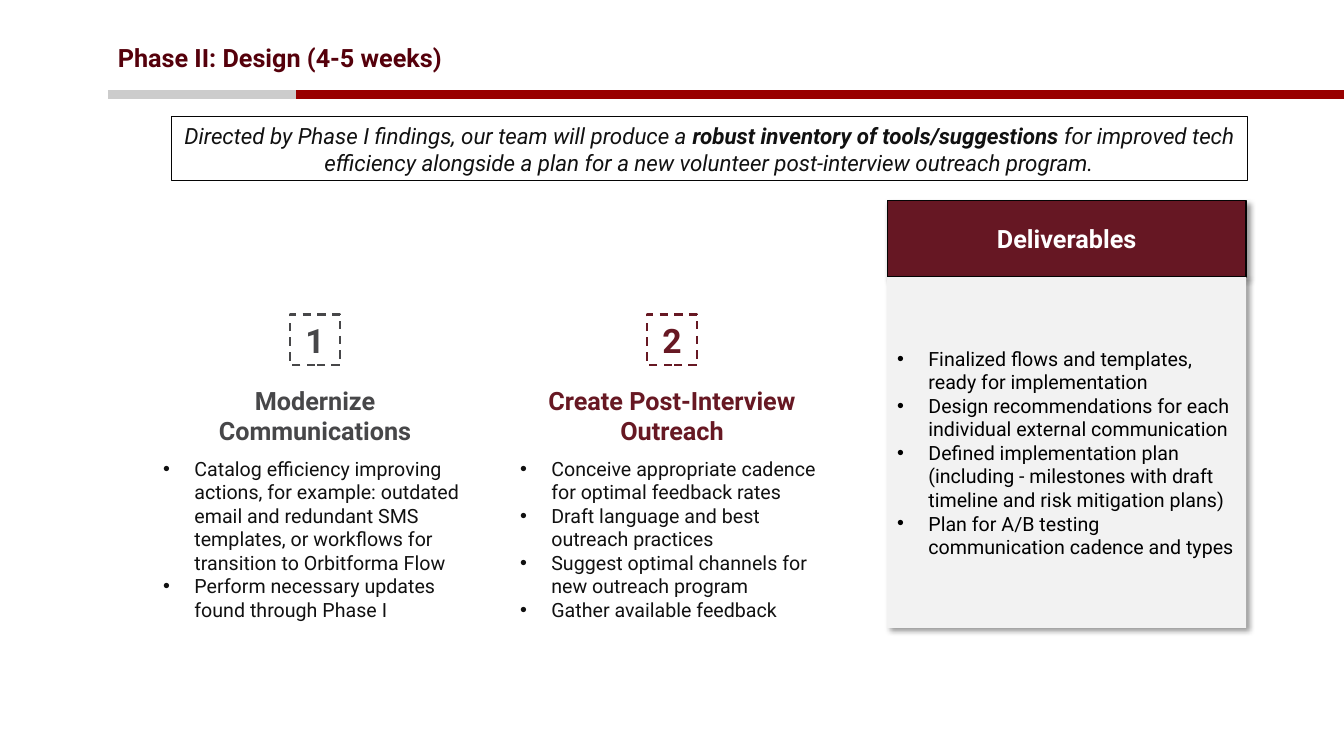
from lxml import etree
from pptx import Presentation
from pptx import util as u
from pptx.dml.color import RGBColor
from pptx.enum import dml, shapes, text
from pptx.oxml import parse_xml
from pptx.oxml.ns import qn, nsdecls

THEME = {
    "font": "Roboto",
    "title": "55000B", "rule": "990000", "rule_start": "CCCCCC",
    "gray": "474749", "wine": "671823", "header": "661723", "panel": "F2F2F2",
    "ink": "111111", "black": "000000", "white": "FFFFFF", "border": "040404",
    "number": 24, "heading": 18, "lead": 16, "body": 14,
}
SHADOW = (
    f'<a:effectLst {nsdecls("a")}><a:outerShdw blurRad="50800" dist="38100" dir="2700000" '
    'algn="tl" rotWithShape="0"><a:srgbClr val="000000"><a:alpha val="40000"/></a:srgbClr>'
    '</a:outerShdw></a:effectLst>'
)
W, H = 13.33, 7.5
COL, PITCH = 1.52, 3.54
COL_W, HEAD_W, BADGE = 3.21, 2.97, 0.5
BADGE_Y, HEAD_Y, BODY_Y, BOTTOM = 3.12, 3.77, 4.48, 6.23
PANEL_X, PANEL_W, PANEL_Y, PANEL_HEAD = 8.8, 3.56, 1.99, 0.76


def write(sp, paras, size, color, bold=False, italic=False, bullets=False, middle=False):
    tf = sp.text_frame
    tf.word_wrap = True
    tf.vertical_anchor = text.MSO_ANCHOR.MIDDLE if middle else text.MSO_ANCHOR.TOP
    for i, runs in enumerate(paras):
        p = tf.paragraphs[0] if i == 0 else tf.add_paragraph()
        p.alignment = text.PP_ALIGN.LEFT if bullets else text.PP_ALIGN.CENTER
        if bullets:
            pPr = p._p.get_or_add_pPr()
            pPr.set("marL", str(u.Inches(0.31)))
            pPr.set("indent", str(-u.Inches(0.31)))
            etree.SubElement(pPr, qn("a:buFont")).set("typeface", "Arial")
            etree.SubElement(pPr, qn("a:buChar")).set("char", "•")
        for j, words in enumerate([runs] if isinstance(runs, str) else runs):
            r = p.add_run()
            r.text = words
            r.font.name, r.font.size = THEME["font"], u.Pt(size)
            r.font.bold, r.font.italic = bold or j == 1, italic
            r.font.color.rgb = RGBColor.from_string(color)


def box(x, y, w, h, fill=None, line=None, width=1, shadow=False):
    sp = s.shapes.add_shape(shapes.MSO_SHAPE.RECTANGLE, *map(u.Inches, (x, y, w, h)))
    sp.shadow.inherit = False
    if shadow:
        spPr = sp._element.spPr
        spPr.replace(spPr.find(qn("a:effectLst")), parse_xml(SHADOW))
    if fill:
        sp.fill.solid()
        sp.fill.fore_color.rgb = RGBColor.from_string(fill)
    else:
        sp.fill.background()
    if line:
        sp.line.color.rgb = RGBColor.from_string(line)
        sp.line.width = u.Pt(width)
    else:
        sp.line.fill.background()
    return sp


prs = Presentation()
prs.slide_width, prs.slide_height = u.Inches(W), u.Inches(H)
s = prs.slides.add_slide(prs.slide_layouts[6])

for x1, x2, color in [(1.33, W, THEME["rule"]), (1.07, 2.94, THEME["rule_start"])]:
    ln = s.shapes.add_connector(shapes.MSO_CONNECTOR.STRAIGHT, *map(u.Inches, (x1, H / 8, x2, H / 8)))
    ln.line.color.rgb = RGBColor.from_string(color)
    ln.line.width = u.Pt(6)
    etree.SubElement(ln._element.spPr, qn("a:effectLst"))

title = s.shapes.add_textbox(*map(u.Inches, (1.07, 0.4, 11.63, 0.41)))
write(title, ["Phase II: Design (4-5 weeks)"], THEME["heading"], THEME["title"], bold=True)
title.text_frame.paragraphs[0].alignment = text.PP_ALIGN.LEFT
title.text_frame.paragraphs[0].line_spacing = 0.9

lead = box(1.7, 1.16, 10.67, 0.63, line=THEME["border"], width=0.75)
write(lead, [[
    "Directed by Phase I findings, our team will produce a ",
    "robust inventory of tools/suggestions ",
    "for improved tech efficiency alongside a plan for a new volunteer post-interview outreach program.",
]], THEME["lead"], THEME["ink"], italic=True, middle=True)

steps = [
    ("Modernize Communications", THEME["gray"], [
        "Catalog efficiency improving actions, for example: outdated email and redundant SMS "
        "templates, or workflows for transition to Orbitforma Flow",
        "Perform necessary updates found through Phase I",
    ]),
    ("Create Post-Interview Outreach", THEME["wine"], [
        "Conceive appropriate cadence for optimal feedback rates",
        "Draft language and best outreach practices",
        "Suggest optimal channels for new outreach program",
        "Gather available feedback",
    ]),
]
for i, (heading, color, points) in enumerate(steps):
    x = COL + i * PITCH
    mid = x + COL_W / 2
    badge = box(mid - BADGE / 2, BADGE_Y, BADGE, BADGE, line=color, width=1.5)
    badge.line.dash_style = dml.MSO_LINE.DASH
    write(badge, [str(i + 1)], THEME["number"], color, bold=True, middle=True)
    tb = s.shapes.add_textbox(*map(u.Inches, (mid - HEAD_W / 2, HEAD_Y, HEAD_W, BODY_Y - HEAD_Y)))
    write(tb, [heading], THEME["heading"], color, bold=True)
    tb = s.shapes.add_textbox(*map(u.Inches, (x, BODY_Y, COL_W, BOTTOM - BODY_Y)))
    write(tb, points, THEME["body"], THEME["ink"], bullets=True)

header = box(PANEL_X, PANEL_Y, PANEL_W, PANEL_HEAD, THEME["header"], THEME["border"], shadow=True)
write(header, ["Deliverables"], THEME["heading"], THEME["white"], bold=True, middle=True)
top = PANEL_Y + PANEL_HEAD
panel = box(PANEL_X, top, PANEL_W, BOTTOM - top, THEME["panel"], shadow=True)
write(panel, [
    "Finalized flows and templates, ready for implementation",
    "Design recommendations for each individual external communication",
    "Defined implementation plan (including - milestones with draft timeline and risk mitigation plans)",
    "Plan for A/B testing communication cadence and types",
], THEME["body"], THEME["black"], bullets=True, middle=True)

prs.save("out.pptx")
